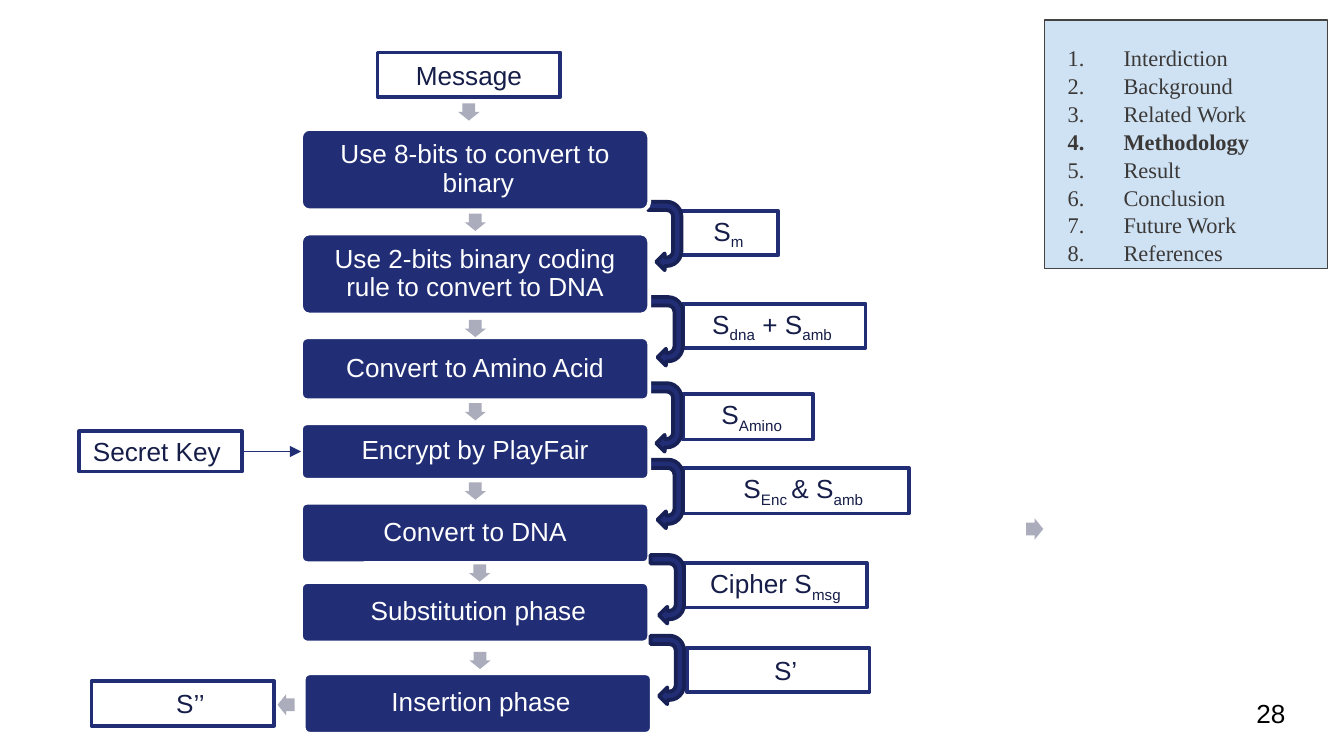
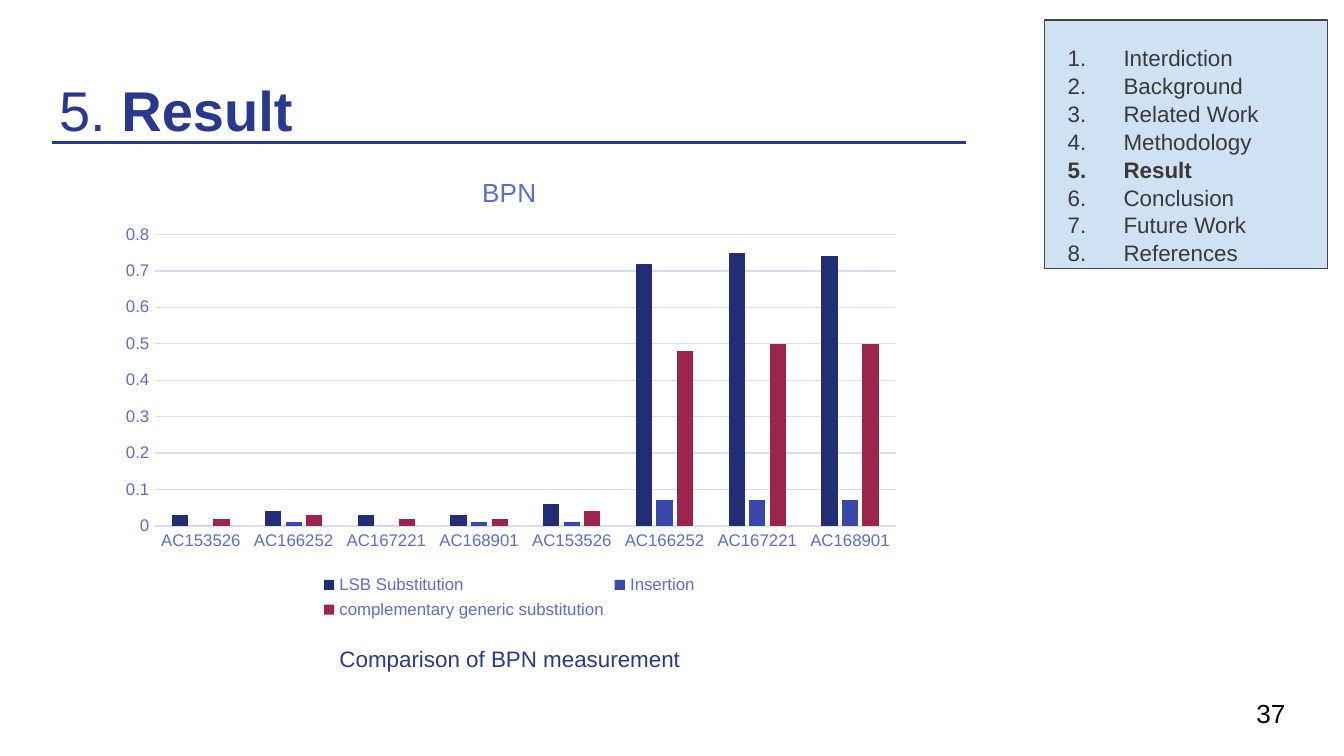
from dataclasses import dataclass

from lxml.etree import SubElement
from pptx import Presentation
from pptx.chart.data import CategoryChartData
from pptx.dml.color import RGBColor
from pptx.enum.chart import XL_CHART_TYPE, XL_LEGEND_POSITION, XL_TICK_MARK
from pptx.enum.shapes import MSO_CONNECTOR, MSO_SHAPE
from pptx.enum.text import MSO_ANCHOR, MSO_AUTO_SIZE, PP_ALIGN
from pptx.oxml import parse_xml
from pptx.oxml.ns import nsdecls, qn
from pptx.util import Pt

RECTANGLE, ROUNDED = MSO_SHAPE.RECTANGLE, MSO_SHAPE.ROUNDED_RECTANGLE
DOWN_ARROW, U_TURN = MSO_SHAPE.DOWN_ARROW, MSO_SHAPE.U_TURN_ARROW
STRAIGHT = MSO_CONNECTOR.STRAIGHT
LEFT, CENTER = PP_ALIGN.LEFT, PP_ALIGN.CENTER
TOP, MIDDLE, BOTTOM = MSO_ANCHOR.TOP, MSO_ANCHOR.MIDDLE, MSO_ANCHOR.BOTTOM
NO_FIT = MSO_AUTO_SIZE.NONE
COLUMNS, LEGEND_BOTTOM = XL_CHART_TYPE.COLUMN_CLUSTERED, XL_LEGEND_POSITION.BOTTOM
NO_TICK = XL_TICK_MARK.NONE
LEFT_SIDE, RIGHT_SIDE = 1, 3


@dataclass(frozen=True)
class Theme:
    sans: str = "Arial"
    serif: str = "Times New Roman"
    navy: str = "212D74"
    navy_edge: str = "182156"
    heading: str = "2A3990"
    ink: str = "151D48"
    black: str = "000000"
    white: str = "FFFFFF"
    grey: str = "ACADBC"
    panel: str = "CFE2F3"
    panel_edge: str = "434343"
    agenda: str = "3B3838"
    axis: str = "5C6DCF"
    grid: str = "D9DDF4"
    series: tuple = ("212D74", "3949AB", "9C254D")
    title_size: int = 30
    body_size: int = 14
    small_size: int = 12
    chart_size: int = 9


AGENDA = ("Interdiction", "Background", "Related Work", "Methodology",
          "Result", "Conclusion", "Future Work", "References")

LABELS = (
    ((363.6, 113, 53.3, 23.8), ("S", "m"), 0),
    ((365.8, 162.7, 97.9, 23.8), ("S", "dna", " + S", "amb "), 0),
    ((365.8, 211, 69.8, 24.5), ("S", "Amino"), 4),
    ((365.8, 250.6, 121, 24.5), ("S", "Enc ", "& S", "amb"), 8),
    ((366.5, 301.7, 97.9, 23.8), ("Cipher S", "msg"), 0),
    ((367.9, 347, 97.9, 23.8), ("S’",), 8),
    ((202.3, 28.1, 97.9, 23.8), ("Message",), 0),
    ((49, 365, 97.9, 23.8), ("S’’",), 8),
)
TURNS = ((337.7, 117.4), (338.4, 168.5), (337.7, 214.6),
         (338.4, 255.6), (339.1, 306.7), (339.1, 349.9))
TURNS_BEHIND_STEPS = 4
STEPS = (
    ("Use 8-bits to convert to binary ", 161.3, 69.1, 43.6),
    ("Use 2-bits binary coding rule to convert to DNA", 161.3, 125.1, 43.4),
    ("Convert to Amino Acid", 161.3, 180.7, 33.8),
    ("Encrypt by PlayFair", 161.3, 226.8, 30.2),
    ("Convert to DNA", 161.3, 269.3, 32.4),
    ("Substitution phase ", 161.3, 311.8, 32.4),
    ("Insertion phase ", 162.7, 360.7, 32.4),
)
ENCRYPT_STEP = 3
FLOW_ARROWS = (
    (245.5, 55.4, 0), (249, 114.5, 0), (249, 171.4, 0), (249, 216, 0),
    (249, 258.5, 0), (251.3, 302.4, 0), (251.5, 349.2, 0),
    (548.6, 278.8, 270), (147.6, 373, 90),
)

ACCESSIONS = ("AC153526", "AC166252", "AC167221", "AC168901") * 2
BPN = {
    "LSB Substitution": (0.03, 0.04, 0.03, 0.03, 0.06, 0.72, 0.75, 0.74),
    "Insertion": (0, 0.01, 0, 0.01, 0.01, 0.07, 0.07, 0.07),
    "complementary generic substitution": (0.02, 0.03, 0.02, 0.02, 0.04, 0.48, 0.5, 0.5),
}
PLOT_AREA = {"x": 0.06, "y": 0.17, "w": 0.92, "h": 0.62}


def assign(target, **values):
    for name, value in values.items():
        setattr(target, name, value)


def points(frame):
    return [Pt(length) for length in frame]


class SlideBuilder:
    def __init__(self, deck, theme):
        self.deck, self.theme, self.page = deck, theme, None

    def new_page(self, number, current, font):
        self.page = self.deck.slides.add_slide(self.deck.slide_layouts[1])
        self.text((666, 366.5, 43.2, 31), number, color=self.theme.black, align=LEFT)
        self.shape(RECTANGLE, (559.4, 10.8, 151.9, 133.2), self.theme.panel,
                   self.theme.panel_edge, 0.75)
        self.agenda(current, font)

    def font(self, font, size, color, name=None, bold=False):
        assign(font, name=name or self.theme.sans, size=Pt(size), bold=bold)
        font.color.rgb = RGBColor.from_string(color)

    def frame(self, box, anchor, inset=7.2, indent=0):
        assign(box.text_frame, word_wrap=True, auto_size=NO_FIT, vertical_anchor=anchor,
               margin_left=Pt(inset + indent), margin_right=Pt(inset),
               margin_top=Pt(inset), margin_bottom=Pt(inset))
        return box.text_frame

    def span(self, para, text, size, color, **style):
        span = para.add_run()
        span.text = text
        self.font(span.font, size, color, **style)
        return span

    def place(self, box, frame):
        assign(box, **dict(zip(("left", "top", "width", "height"), points(frame))))

    def title(self, number, text):
        box = self.page.shapes.title
        self.place(box, (24.5, 23.8, 221, 59.8))
        para = self.frame(box, BOTTOM).paragraphs[0]
        assign(para, alignment=LEFT, line_spacing=1.15)
        self.span(para, number, self.theme.title_size, self.theme.heading)
        self.span(para, text, self.theme.title_size, self.theme.heading, bold=True)
        self.line((28.1, 76.3), (517.7, 76.3), self.theme.heading, 1.5)

    def remove_title(self):
        title = self.page.shapes.title._element
        title.getparent().remove(title)

    def agenda(self, current, font):
        box = self.page.placeholders[1]
        self.place(box, (558.7, 15.8, 151.9, 108.7))
        self.page.shapes._spTree.append(box._element)
        text_frame = self.frame(box, TOP)
        for index, topic in enumerate(AGENDA):
            para = text_frame.add_paragraph() if index else text_frame.paragraphs[0]
            assign(para, alignment=LEFT, line_spacing=1.04, space_before=Pt(0))
            self.span(para, topic, self.theme.small_size, self.theme.agenda,
                      name=font, bold=topic == current)
            layout = para._p.get_or_add_pPr()
            layout.set("marL", str(int(Pt(36))))
            layout.set("indent", str(int(Pt(-30))))
            color = SubElement(layout, qn("a:buClr"))
            SubElement(color, qn("a:srgbClr"), val=self.theme.agenda)
            SubElement(layout, qn("a:buAutoNum"), type="arabicPeriod")

    def text(self, frame, text, color, size=None, align=CENTER):
        box = self.page.shapes.add_textbox(*points(frame))
        para = self.frame(box, MIDDLE).paragraphs[0]
        para.alignment = align
        self.span(para, text, size or self.theme.body_size, color)

    def shape(self, kind, frame, fill, edge=None, weight=2, rotation=0):
        box = self.page.shapes.add_shape(kind, *points(frame))
        box.shadow.inherit = False
        box.rotation = rotation
        box.fill.solid()
        box.fill.fore_color.rgb = RGBColor.from_string(fill)
        if edge:
            box.line.color.rgb = RGBColor.from_string(edge)
            box.line.width = Pt(weight)
        else:
            box.line.fill.background()
        return box

    def label(self, frame, pieces, indent=0):
        box = self.shape(RECTANGLE, frame, self.theme.white, self.theme.navy)
        text_frame = self.frame(box, MIDDLE, indent=indent)
        assign(text_frame, margin_top=Pt(3.6), margin_bottom=Pt(3.6))
        para = text_frame.paragraphs[0]
        para.alignment = CENTER
        for index, piece in enumerate(pieces):
            span = self.span(para, piece, self.theme.body_size, self.theme.ink)
            if index % 2:
                span._r.get_or_add_rPr().set("baseline", "-25000")
        return box

    def step(self, text, left, top, height):
        box = self.shape(ROUNDED, (left, top, 186.5, height),
                         self.theme.navy, self.theme.white)
        box.adjustments[0] = 0.1
        para = self.frame(box, MIDDLE, inset=5.4).paragraphs[0]
        assign(para, alignment=CENTER, line_spacing=0.9)
        para._p.get_or_add_pPr().set("rtl", "1")
        self.span(para, text, self.theme.body_size, self.theme.white)
        return box

    def turn(self, left, top):
        self.shape(U_TURN, (left, top, 36.7, 18), self.theme.navy,
                   self.theme.navy_edge, rotation=90)

    def flow_arrow(self, left, top, rotation):
        arrow = self.shape(DOWN_ARROW, (left, top, 11.4, 9.2), self.theme.grey,
                           rotation=rotation)
        arrow.adjustments[0] = 0.6

    def line(self, start, end, color, weight):
        line = self.page.shapes.add_connector(STRAIGHT, *points(start + end))
        line.line.color.rgb = RGBColor.from_string(color)
        line.line.width = Pt(weight)
        SubElement(line._element.spPr, qn("a:effectLst"))
        return line

    def join(self, source, target):
        line = self.line((129.6, 241.9), (161.3, 241.9), self.theme.navy, 0.75)
        line.begin_connect(source, RIGHT_SIDE)
        line.end_connect(target, LEFT_SIDE)
        SubElement(line._element.spPr.find(qn("a:ln")), qn("a:tailEnd"), type="triangle")

    def column_chart(self, frame, title, categories, series):
        data = CategoryChartData()
        data.categories = categories
        for name, values in series.items():
            data.add_series(name, values)
        chart = self.page.shapes.add_chart(COLUMNS, *points(frame), data).chart
        theme = self.theme
        self.font(chart.font, 10, theme.heading)
        chart.has_title = True
        self.span(chart.chart_title.text_frame.paragraphs[0], title,
                  theme.body_size, theme.axis)
        chart.chart_title.include_in_layout = False
        chart.has_legend = True
        assign(chart.legend, position=LEGEND_BOTTOM, include_in_layout=False)
        self.font(chart.legend.font, theme.chart_size, theme.axis)

        plot = chart.plots[0]
        assign(plot, gap_width=219, overlap=-27, vary_by_categories=False)
        for column, color in zip(plot.series, theme.series):
            column.format.fill.solid()
            column.format.fill.fore_color.rgb = RGBColor.from_string(color)

        for axis in (chart.category_axis, chart.value_axis):
            assign(axis, major_tick_mark=NO_TICK, minor_tick_mark=NO_TICK)
            self.font(axis.tick_labels.font, theme.chart_size, theme.axis)
        assign(chart.value_axis, minimum_scale=0, maximum_scale=0.8, major_unit=0.1,
               has_major_gridlines=True)
        chart.value_axis.format.line.fill.background()
        for line in (chart.category_axis.format.line,
                     chart.value_axis.major_gridlines.format.line):
            line.color.rgb = RGBColor.from_string(theme.grid)
            line.width = Pt(0.75)
        self.fix_plot_area(chart)

    def fix_plot_area(self, chart):
        area = chart._chartSpace.chart.plotArea
        for layout in area.findall(qn("c:layout")):
            area.remove(layout)
        layout = parse_xml(f"<c:layout {nsdecls('c')}/>")
        manual = SubElement(layout, qn("c:manualLayout"))
        settings = {"layoutTarget": "inner", "xMode": "edge", "yMode": "edge", **PLOT_AREA}
        for name, value in settings.items():
            SubElement(manual, qn(f"c:{name}"), val=str(value))
        area.insert(0, layout)


def methodology_slide(builder):
    builder.new_page("28", "Methodology", builder.theme.serif)
    builder.remove_title()
    for frame, pieces, indent in LABELS:
        builder.label(frame, pieces, indent)
    secret_key = builder.label((42.5, 231.1, 87.1, 21.6), ("Secret Key ",))
    for position in TURNS[:TURNS_BEHIND_STEPS]:
        builder.turn(*position)
    steps = [builder.step(*step) for step in STEPS]
    for position in TURNS[TURNS_BEHIND_STEPS:]:
        builder.turn(*position)
    for arrow in FLOW_ARROWS:
        builder.flow_arrow(*arrow)
    builder.join(secret_key, steps[ENCRYPT_STEP])


def result_slide(builder):
    builder.new_page("37", "Result", builder.theme.sans)
    builder.title("5. ", "Result")
    builder.column_chart((56.9, 82.8, 432, 252), "BPN", ACCESSIONS, BPN)
    builder.text((140.4, 342, 265.7, 21.6), "Comparison of BPN measurement",
                 builder.theme.heading, builder.theme.small_size)


def main():
    deck = Presentation()
    assign(deck, slide_width=Pt(720), slide_height=Pt(405))
    builder = SlideBuilder(deck, Theme())
    methodology_slide(builder)
    result_slide(builder)
    deck.save("out.pptx")


if __name__ == "__main__":
    main()
